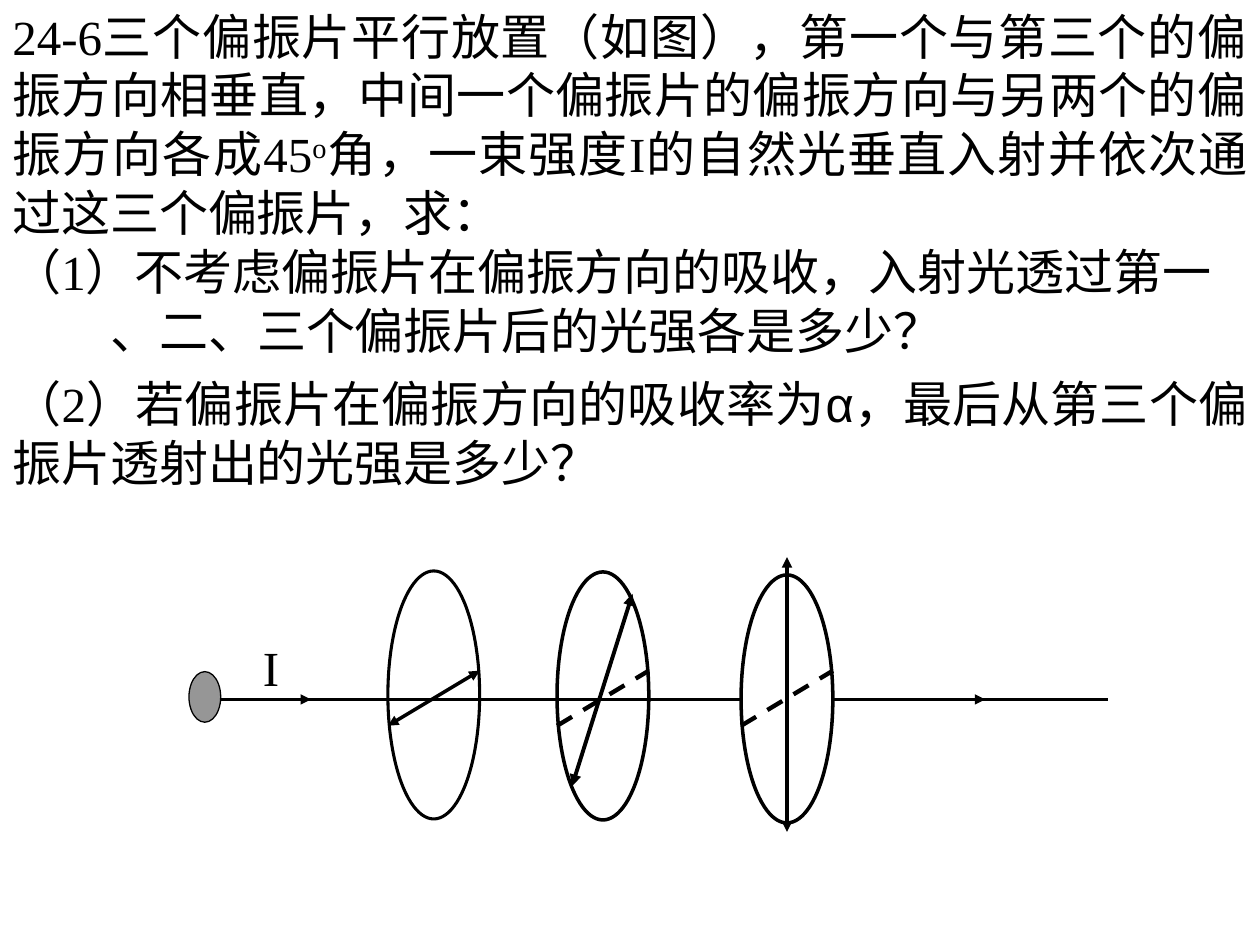
import pptx
import pptx.util
import pptx.dml.color
import pptx.enum.dml
import pptx.enum.shapes
import pptx.enum.text
import pptx.oxml
import pptx.oxml.ns

Cm, Pt = pptx.util.Cm, pptx.util.Pt
ALIGN = pptx.enum.text.PP_ALIGN
BLACK = pptx.dml.color.RGBColor(0x00, 0x00, 0x00)
WHITE = pptx.dml.color.RGBColor(0xFF, 0xFF, 0xFF)
GRAY = pptx.dml.color.RGBColor(0x96, 0x96, 0x96)
SERIF, SANS = "Times New Roman", "Arial"
SIZE = 28


def add_text(paragraph, text, font=SERIF, size=SIZE, color=BLACK, raised=False):
    run = paragraph.add_run()
    run.text = text
    run.font.name, run.font.size = font, Pt(size)
    run.font.color.rgb = color
    if raised:
        run.font._element.set("baseline", "30000")


def add_frame(slide, left, top, width, height):
    frame = slide.shapes.add_textbox(Cm(left), Cm(top), Cm(width), Cm(height)).text_frame
    frame.word_wrap = True
    frame.paragraphs[0].alignment = ALIGN.JUSTIFY
    return frame


def add_ellipse(slide, left, top, width, height, fill=WHITE, weight=2):
    ellipse = slide.shapes.add_shape(pptx.enum.shapes.MSO_SHAPE.OVAL,
                                     Cm(left), Cm(top), Cm(width), Cm(height))
    ellipse.shadow.inherit = False
    ellipse.fill.solid()
    ellipse.fill.fore_color.rgb = fill
    ellipse.line.color.rgb = BLACK
    ellipse.line.width = Pt(weight)


def add_line(slide, x1, y1, x2, y2, weight=2, ends=(), dashed=False):
    line = slide.shapes.add_connector(pptx.enum.shapes.MSO_CONNECTOR.STRAIGHT,
                                      Cm(x1), Cm(y1), Cm(x2), Cm(y2))
    line.line.color.rgb = BLACK
    line.line.width = Pt(weight)
    if dashed:
        line.line.dash_style = pptx.enum.dml.MSO_LINE.DASH
    properties = line._element.spPr
    outline = properties.find(pptx.oxml.ns.qn("a:ln"))
    for end in ends:
        arrowhead = pptx.oxml.xmlchemy.OxmlElement("a:" + end)
        arrowhead.set("type", "triangle")
        outline.append(arrowhead)
    properties.append(pptx.oxml.xmlchemy.OxmlElement("a:effectLst"))


def build_problem(slide, left, top, width):
    # Statement and first question
    statement = add_frame(slide, left, top, width, 8.56)
    intro = statement.paragraphs[0]
    add_text(intro, "24-6三个偏振片平行放置（如图），第一个与第三个的偏振方向相垂直，"
                    "中间一个偏振片的偏振方向与另两个的偏振方向各成45")
    add_text(intro, "o", raised=True)
    add_text(intro, "角，一束强度I的自然光垂直入射并依次通过这三个偏振片，求：")

    question = statement.add_paragraph()
    question.alignment = ALIGN.LEFT
    hanging = Pt(2 * SIZE)
    question._p.get_or_add_pPr().set("marL", str(hanging))
    question._p.get_or_add_pPr().set("indent", str(-hanging))
    add_text(question, "（1）不考虑偏振片在偏振方向的吸收，入射光透过第一")
    question.add_line_break()
    add_text(question, "、二、三个偏振片后的光强各是多少？")

    # Second question
    absorption = add_frame(slide, left, top + 7.4, width, 3.83).paragraphs[0]
    add_text(absorption, "（2）若偏振片在偏振方向的吸收率为")
    add_text(absorption, "α", font=SANS)
    add_text(absorption, "，最后从第三个偏振片透射出的光强是多少？")


def build_diagram(slide, left, top):
    disc_width, disc_height = 1.85, 5
    first, second, third = left + 4.01, left + 7.42, left + 11.13
    axis = top + 2.87
    both = ("headEnd", "tailEnd")

    def add_disc(disc_left, offset, weight=2):
        add_ellipse(slide, disc_left, top + offset, disc_width, disc_height, weight=weight)

    def add_slant(disc_left, **style):
        add_line(slide, disc_left, top + 3.4, disc_left + disc_width, top + 2.29, **style)

    # Polarizers, light source and beam
    add_disc(second, 0.3)
    add_disc(first, 0.28, weight=1.75)
    add_line(slide, left + 0.61, axis, left + 18.52, axis)
    add_ellipse(slide, left, top + 2.31, 0.64, 1.02, fill=GRAY, weight=0.75)
    add_disc(third, 0.36)
    for start, end in ((2.16, 2.46), (12.95, 16.05)):
        add_line(slide, left + start, axis, left + end, axis, weight=1.75, ends=("tailEnd",))

    # Polarization directions
    add_slant(first, ends=both)
    add_line(slide, second + 1.52, top + 0.74, second + 0.3, top + 4.62, weight=2.25, ends=both)
    for disc_left in (second, third):
        add_slant(disc_left, weight=2.5, dashed=True)
    middle = third + disc_width / 2
    add_line(slide, middle, top, middle, top + 5.54, ends=both)

    # Intensity label
    add_text(add_frame(slide, left + 1.24, top + 1.5, 3.1, 2.77).paragraphs[0], "I")


deck = pptx.Presentation()
deck.slide_width, deck.slide_height = Cm(25.4), Cm(19.05)
page = deck.slides.add_slide(deck.slide_layouts[6])
build_diagram(page, 3.81, 11.23)
build_problem(page, 0, 0, 25.4)
deck.save("out.pptx")
